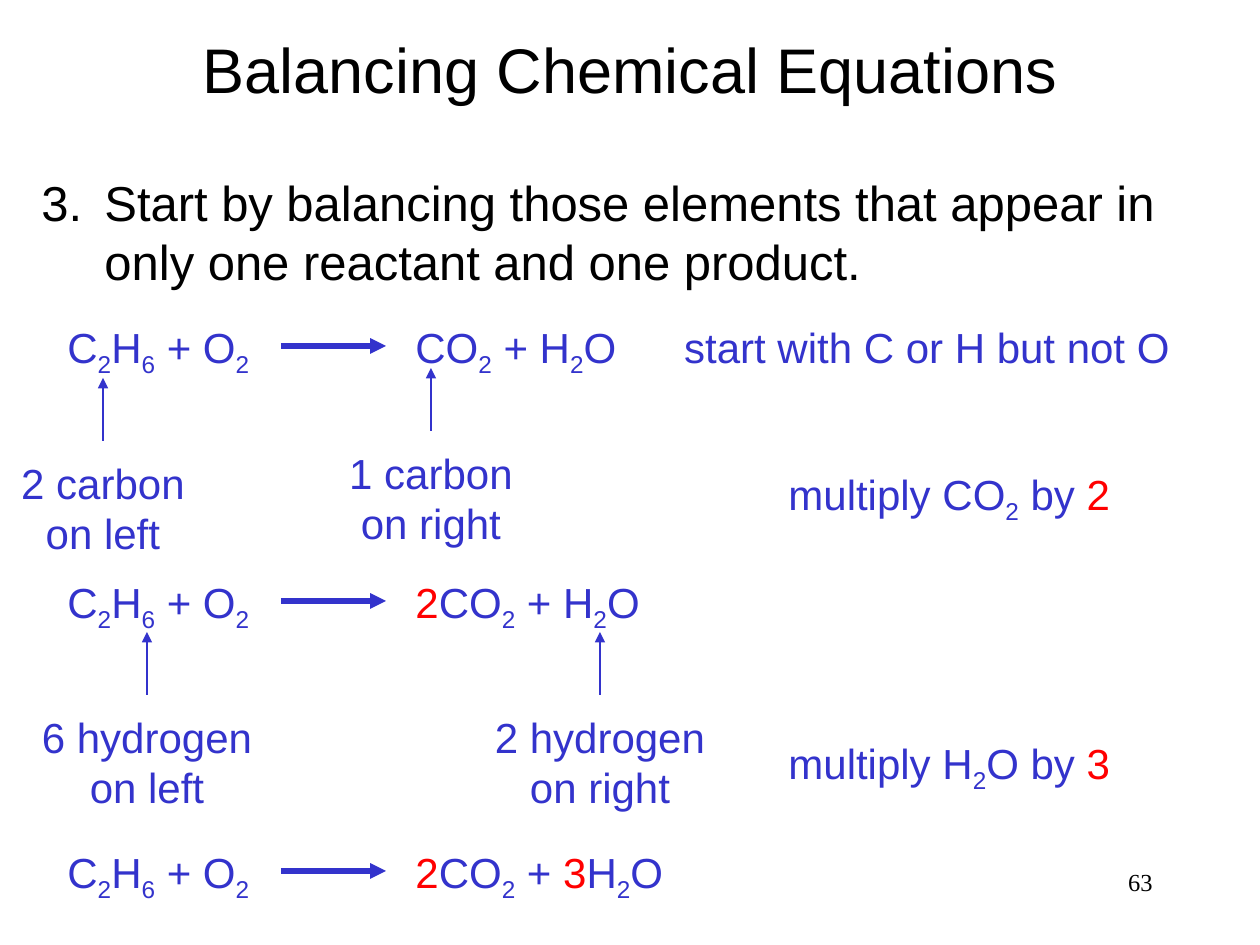
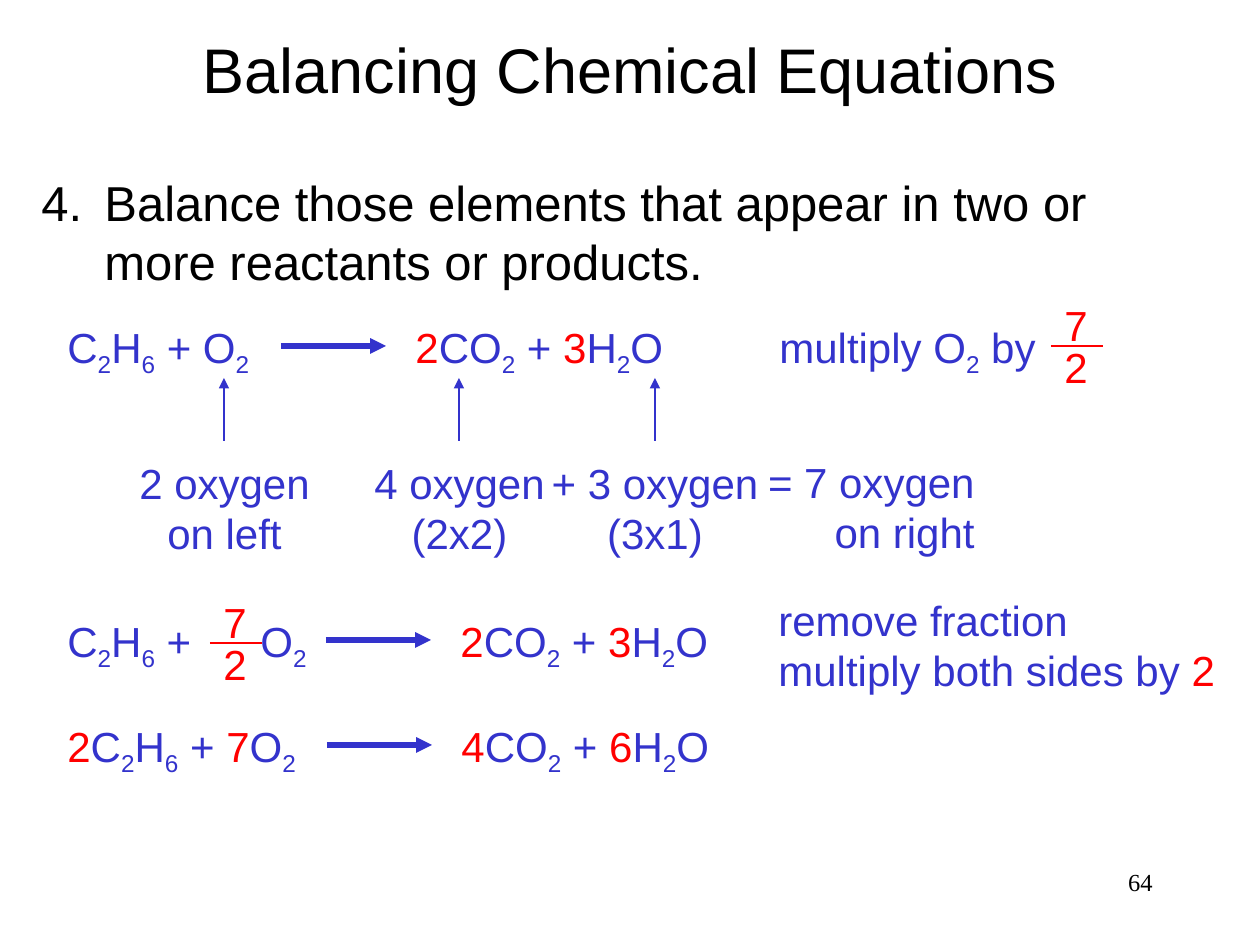
from lxml import etree
from pptx import Presentation
from pptx.dml.color import RGBColor
from pptx.enum.shapes import MSO_CONNECTOR
from pptx.enum.text import MSO_ANCHOR, MSO_AUTO_SIZE, PP_ALIGN
from pptx.oxml.ns import qn
from pptx.util import Emu, Pt

LEFT, CENTER, RIGHT = PP_ALIGN.LEFT, PP_ALIGN.CENTER, PP_ALIGN.RIGHT
MIDDLE = MSO_ANCHOR.MIDDLE
FIT_SHAPE = MSO_AUTO_SIZE.SHAPE_TO_FIT_TEXT
STRAIGHT = MSO_CONNECTOR.STRAIGHT
COLORS = {"text": "000000", "chemistry": "3333CC", "coefficient": "FF0000"}
SANS, SERIF = "Arial", "Times New Roman"
SCALE = 914400 // 126
ETHANE_OXYGEN = "C_2H_6 + O_2"
BALANCED_PRODUCTS = "*2CO_2 + *3H_2O"


def px(length):
    """Turn whole pixels into EMU."""
    return Emu(length * SCALE)


def color(name):
    """Look up a named colour."""
    return RGBColor.from_string(COLORS[name])


def add_span(para, text, size, tint, font=SANS, subscript=False):
    """Add one formatted run to a paragraph."""
    span = para.add_run()
    span.text = text
    span.font.size = Pt(size)
    span.font.name = font
    span.font.color.rgb = color(tint)
    if subscript:
        span.font._element.set("baseline", "-25000")


def add_box(page, left, top, width, height):
    """Add an empty text box and return its text frame."""
    frame = page.shapes.add_textbox(px(left), px(top), px(width), px(height)).text_frame
    frame.word_wrap = True
    return frame


def split_formula(text):
    """Split a formula into (mark, text) parts: _ subscript, * coefficient."""
    parts, mark = [], ""
    for letter in text:
        if letter in "_*":
            mark = letter
            continue
        if not mark and parts and not parts[-1][0]:
            parts[-1] = ("", parts[-1][1] + letter)
        else:
            parts.append((mark, letter))
        mark = ""
    return parts


def add_formula(page, left, top, width, height, lines, align=LEFT, tab=None):
    """Write lines of marked-up chemistry, with a margin only where they align."""
    frame = add_box(page, left, top, width, height)
    frame.auto_size = FIT_SHAPE
    if align != LEFT:
        frame.margin_left = 0
    if align != RIGHT:
        frame.margin_right = 0
    for index, line in enumerate(lines):
        para = frame.add_paragraph() if index else frame.paragraphs[0]
        para.alignment = align
        if tab:
            stops = etree.SubElement(para._p.get_or_add_pPr(), qn("a:tabLst"))
            etree.SubElement(stops, qn("a:tab"), pos=str(px(tab)), algn="l")
        for mark, text in split_formula(line):
            tint = "coefficient" if mark == "*" else "chemistry"
            add_span(para, text, 24, tint, subscript=mark == "_")


def add_line(page, start, end, width, tint="chemistry", arrow=True):
    """Draw a straight line, with an arrowhead at its end if wanted."""
    line = page.shapes.add_connector(STRAIGHT, *map(px, start + end))
    line.line.color.rgb = color(tint)
    line.line.width = Pt(width)
    if arrow:
        etree.SubElement(line.line._get_or_add_ln(), qn("a:tailEnd"), type="triangle")
    etree.SubElement(line._element.spPr, qn("a:effectLst"))


def add_reaction(page, top, reactants, products, arrow_left=281, width=207, tab=None):
    """Place reactants, the reaction arrow and products on one row."""
    add_formula(page, 55, top, width, 71, [reactants], tab=tab)
    add_line(page, (arrow_left, top + 31), (arrow_left + 105, top + 31), 3)
    product_width = 226 + 23 * products.count("*")
    add_formula(page, arrow_left + 122, top, product_width, 71, [products])


def add_count(page, center, top, width, lines):
    """Place an atom count under an arrow pointing up at its formula."""
    add_line(page, (center, top + 63), (center, top), 1.5)
    add_formula(page, center - width // 2, top + 73, width, 113, lines, CENTER)


def add_fraction(page, left, bar_top, numerator, denominator):
    """Stack two numbers around a fraction bar."""
    add_formula(page, left + 1, bar_top - 53, 48, 63, ["*" + numerator])
    add_line(page, (left, bar_top), (left + 52, bar_top), 1.5, "coefficient", False)
    add_formula(page, left + 1, bar_top - 11, 48, 63, ["*" + denominator])


def add_frame(deck, number, step, rule):
    """Add a page with title, numbered rule and page number."""
    page = deck.slides.add_slide(deck.slide_layouts[6])
    para = add_box(page, 903, 861, 262, 63).paragraphs[0]
    para.alignment = RIGHT
    add_span(para, str(number), 14, "text", SERIF)

    title = add_box(page, 0, 21, 1260, 95)
    title.vertical_anchor = MIDDLE
    title.paragraphs[0].alignment = CENTER
    add_span(title.paragraphs[0], "Balancing Chemical Equations", 36, "text")

    body = add_box(page, 29, 166, 1178, 131)
    body.auto_size = FIT_SHAPE
    para = body.paragraphs[0]
    settings = para._p.get_or_add_pPr()
    settings.set("marL", str(px(63)))
    settings.set("indent", str(-px(63)))
    tint = etree.SubElement(settings, qn("a:buClr"))
    etree.SubElement(tint, qn("a:srgbClr"), val=COLORS["text"])
    etree.SubElement(settings, qn("a:buAutoNum"), type="arabicPeriod", startAt=str(step))
    add_span(para, rule, 28, "text")
    return page


def add_single_elements(deck):
    """Build the page that balances carbon and hydrogen."""
    page = add_frame(deck, 63, 3, "Start by balancing those elements that appear in "
                     "only one reactant and one product.")
    add_reaction(page, 315, ETHANE_OXYGEN, "CO_2 + H_2O")
    add_formula(page, 672, 315, 510, 63, ["start with C or H but not O"], CENTER)
    add_count(page, 103, 378, 188, ["2 carbon", "on left"])
    add_count(page, 431, 368, 188, ["1 carbon", "on right"])
    add_formula(page, 776, 462, 346, 71, ["multiply CO_2 by *2"])
    add_reaction(page, 570, ETHANE_OXYGEN, "*2CO_2 + H_2O")
    add_count(page, 147, 632, 236, ["6 hydrogen", "on left"])
    add_count(page, 600, 632, 236, ["2 hydrogen", "on right"])
    add_formula(page, 776, 731, 346, 71, ["multiply H_2O by *3"])
    add_reaction(page, 840, ETHANE_OXYGEN, BALANCED_PRODUCTS)


def add_shared_elements(deck):
    """Build the page that balances oxygen and removes the fraction."""
    page = add_frame(deck, 64, 4, "Balance those elements that appear in two or "
                     "more reactants or products.")
    add_reaction(page, 315, ETHANE_OXYGEN, BALANCED_PRODUCTS)
    add_formula(page, 767, 315, 292, 71, ["multiply O_2 by"])
    add_fraction(page, 1051, 346, "7", "2")
    add_count(page, 224, 378, 195, ["2 oxygen", "on left"])
    add_count(page, 459, 378, 195, ["4 oxygen", "(2x2)"])
    add_count(page, 655, 378, 232, ["+ 3 oxygen", "(3x1)"])
    add_formula(page, 755, 450, 232, 113, ["= 7 oxygen", "on right"], RIGHT)
    add_reaction(page, 609, "C_2H_6 +\tO_2", BALANCED_PRODUCTS, 326, 265, tab=193)
    add_fraction(page, 210, 643, "7", "2")
    add_formula(page, 766, 588, 461, 113,
                ["remove fraction", "multiply both sides by *2"])
    add_reaction(page, 714, "*2C_2H_6 + *7O_2", "*4CO_2 + *6H_2O", 327, 253)


def main():
    """Build and save the deck."""
    deck = Presentation()
    deck.slide_width, deck.slide_height = px(1260), px(945)
    add_single_elements(deck)
    add_shared_elements(deck)
    deck.save("out.pptx")


if __name__ == "__main__":
    main()
